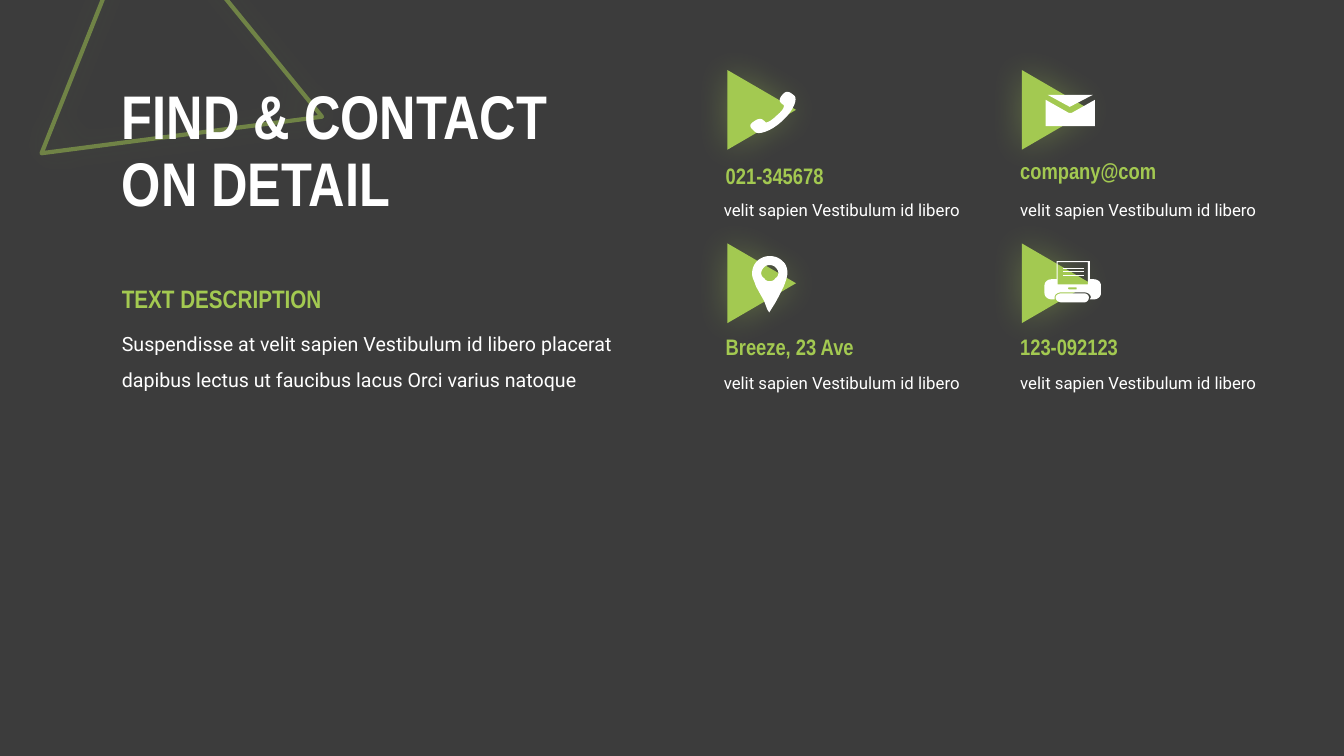
from lxml import etree
from pptx import Presentation
from pptx import util as u
from pptx.dml.color import RGBColor
from pptx.enum import shapes, text
from pptx.oxml import ns

Inches = u.Inches
DARK = RGBColor(0x3C, 0x3C, 0x3C)
GREEN = RGBColor(0xA3, 0xC9, 0x51)
WHITE = RGBColor(0xFF, 0xFF, 0xFF)
HEAD, BODY = "Arial Narrow", "Roboto"

TITLE = ["FIND & CONTACT", "ON DETAIL"]
SUBTITLE = "TEXT DESCRIPTION"
DESCRIPTION = ("Suspendisse at velit sapien Vestibulum id libero placerat "
               "dapibus lectus ut faucibus lacus Orci varius natoque")
CAPTION = "velit sapien Vestibulum id libero"

# Each contour mixes (x, y) corners and (x1, y1, x2, y2, x, y) curves.
PHONE = [[(7.77, 1.04), (7.74, 1.02, 7.71, 1, 7.76, 0.94), (7.81, 0.88, 7.85, 0.93, 7.88, 0.95),
          (7.91, 0.98, 7.88, 1.09, 7.76, 1.2), (7.64, 1.31, 7.52, 1.34, 7.49, 1.31),
          (7.46, 1.28, 7.41, 1.25, 7.47, 1.21), (7.54, 1.16, 7.56, 1.18, 7.59, 1.21),
          (7.6, 1.23, 7.66, 1.19, 7.7, 1.15), (7.75, 1.11, 7.79, 1.06, 7.77, 1.04)]]
ENVELOPE = [[(10.63, 1.12), (10.86, 0.99), (10.86, 1.25), (10.37, 1.25), (10.37, 0.99),
             (10.6, 1.12), (10.61, 1.12)],
            [(10.84, 0.94), (10.61, 1.06), (10.39, 0.94)]]
PIN = [[(7.51, 2.59), (7.54, 2.56, 7.59, 2.54, 7.63, 2.54), (7.69, 2.54, 7.73, 2.56, 7.76, 2.59),
        (7.8, 2.62, 7.81, 2.67, 7.81, 2.71), (7.81, 2.73, 7.8, 2.78, 7.77, 2.85),
        (7.74, 2.91, 7.71, 2.97, 7.68, 3.02), (7.63, 3.1), (7.61, 3.07), (7.58, 2.99),
        (7.56, 2.95, 7.54, 2.92, 7.52, 2.88), (7.5, 2.85, 7.49, 2.82, 7.48, 2.79),
        (7.46, 2.75, 7.46, 2.73, 7.46, 2.71), (7.46, 2.66, 7.48, 2.62, 7.51, 2.59)],
       [(7.58, 2.76), (7.59, 2.78, 7.61, 2.79, 7.63, 2.79), (7.66, 2.79, 7.68, 2.78, 7.69, 2.76),
        (7.71, 2.75, 7.72, 2.73, 7.72, 2.71), (7.72, 2.69, 7.71, 2.67, 7.69, 2.65),
        (7.68, 2.64, 7.66, 2.63, 7.63, 2.63), (7.61, 2.63, 7.59, 2.64, 7.58, 2.65),
        (7.56, 2.67, 7.55, 2.69, 7.55, 2.71), (7.55, 2.73, 7.56, 2.75, 7.58, 2.76)]]
TRAY = [[(10.75, 2.91), (10.53, 2.91), (10.5, 2.91, 10.47, 2.93, 10.47, 2.95),
         (10.47, 2.98, 10.5, 3, 10.53, 3), (10.75, 3), (10.78, 3, 10.8, 2.98, 10.8, 2.95),
         (10.8, 2.93, 10.78, 2.91, 10.75, 2.91)]]
PRINTER = [[(10.85, 2.77), (10.81, 2.77), (10.81, 2.59), (10.48, 2.59), (10.48, 2.77), (10.43, 2.77),
            (10.39, 2.77, 10.36, 2.8, 10.36, 2.83), (10.36, 2.91),
            (10.36, 2.94, 10.39, 2.97, 10.43, 2.97), (10.46, 2.97), (10.46, 2.95),
            (10.46, 2.92, 10.49, 2.9, 10.53, 2.9), (10.75, 2.9),
            (10.79, 2.9, 10.82, 2.92, 10.82, 2.95), (10.81, 2.97), (10.85, 2.97),
            (10.89, 2.97, 10.92, 2.94, 10.92, 2.91), (10.92, 2.83),
            (10.92, 2.8, 10.89, 2.77, 10.85, 2.77)],
           [(10.49, 2.6), (10.79, 2.6), (10.79, 2.82), (10.49, 2.82)],
           [(10.68, 2.87), (10.6, 2.87), (10.59, 2.86), (10.6, 2.85), (10.68, 2.85), (10.68, 2.86)]]
PAPER_LINES = [[[(10.54, y), (10.75, y), (10.75, y + 0.01), (10.54, y + 0.01)]]
               for y in (2.66, 2.69, 2.73)]

COLUMNS = [(7.16, 7.1, 7.08, 1.86), (10.08, 10.02, 10.02, 1.93)]
ROWS = [(0.75, 1.83), (2.47, 3.55)]
CONTACTS = [
    (0, 0, "021-345678", 1.56, [PHONE]),
    (1, 0, "company@com", 1.51, [ENVELOPE]),
    (0, 1, "Breeze, 23 Ave", 3.26, [PIN]),
    (1, 1, "123-092123", 3.26, [TRAY, PRINTER] + PAPER_LINES),
]

prs = Presentation()
prs.slide_width, prs.slide_height = Inches(13.33), Inches(7.5)
s = prs.slides.add_slide(prs.slide_layouts[6])
s.background.fill.solid()
s.background.fill.fore_color.rgb = DARK


def set_alpha(color, percent):
    etree.SubElement(color, ns.qn("a:alpha"), val=str(percent * 1000))


def add_glow(sp):
    sp.shadow.inherit = False
    effects = sp._element.spPr.find(ns.qn("a:effectLst"))
    glow = etree.SubElement(effects, ns.qn("a:outerShdw"), blurRad=str(u.Pt(25)),
                            dist="0", dir="0", algn="ctr", rotWithShape="0")
    set_alpha(etree.SubElement(glow, ns.qn("a:srgbClr"), val=str(GREEN)), 35)


def add_triangle(x, y, w, h, angle, outlined=False):
    sp = s.shapes.add_shape(shapes.MSO_SHAPE.ISOSCELES_TRIANGLE, *map(Inches, (x, y, w, h)))
    sp.rotation = angle
    if outlined:
        sp.fill.background()
        sp.line.color.rgb = GREEN
        sp.line.width = u.Pt(3)
        set_alpha(next(sp._element.spPr.iter(ns.qn("a:srgbClr"))), 50)
    else:
        sp.fill.solid()
        sp.fill.fore_color.rgb = GREEN
        sp.line.fill.background()
    add_glow(sp)


def add_text(box, lines, size, font, color, bold=False, spacing=1.0, grow=True):
    tf = s.shapes.add_textbox(*map(Inches, box)).text_frame
    tf.word_wrap = True
    if grow:
        tf.auto_size = text.MSO_AUTO_SIZE.SHAPE_TO_FIT_TEXT
    else:
        tf.vertical_anchor = text.MSO_ANCHOR.MIDDLE
    p = tf.paragraphs[0]
    p.line_spacing = spacing
    for i, line in enumerate(lines):
        if i:
            p.add_line_break()
        r = p.add_run()
        r.text = line
        r.font.size, r.font.name, r.font.bold = u.Pt(size), font, bold
        r.font.color.rgb = color


def flatten(contour, steps=8):
    points = [contour[0]]
    for segment in contour[1:]:
        if len(segment) == 2:
            points.append(segment)
            continue
        nodes = [points[-1], segment[:2], segment[2:4], segment[4:]]
        for i in range(1, steps + 1):
            t = i / steps
            weights = ((1 - t) ** 3, 3 * t * (1 - t) ** 2, 3 * t * t * (1 - t), t ** 3)
            points.append(tuple(sum(k * n[axis] for k, n in zip(weights, nodes))
                                for axis in (0, 1)))
    return [(Inches(x), Inches(y)) for x, y in points]


def add_icon(target, contours):
    outlines = [flatten(c) for c in contours]
    builder = target.build_freeform(*outlines[0][0], scale=1.0)
    for i, points in enumerate(outlines):
        if i:
            builder.move_to(*points[0])
        builder.add_line_segments(points[1:], close=True)
    sp = builder.convert_to_shape()
    sp.fill.solid()
    sp.fill.fore_color.rgb = WHITE
    sp.line.fill.background()
    sp.shadow.inherit = False


add_triangle(0.69, -0.52, 2.73, 2.45, 111.7, outlined=True)
add_text((1.11, 0.73, 5.62, 1.58), TITLE, 44, HEAD, WHITE, True, 0.9, grow=False)
add_text((1.11, 3.13, 5.13, 0.77), [DESCRIPTION], 14, BODY, WHITE, spacing=1.5)
add_text((1.11, 2.76, 2.45, 0.4), [SUBTITLE], 18, HEAD, GREEN, True)

for column, row, label, label_y, icon in CONTACTS:
    triangle_x, label_x, caption_x, label_w = COLUMNS[column]
    triangle_y, caption_y = ROWS[row]
    add_triangle(triangle_x, triangle_y, 0.79, 0.68, 90)
    add_text((label_x, label_y, label_w, 0.37), [label], 16, HEAD, GREEN, True)
    add_text((caption_x, caption_y, 2.65, 0.37), [CAPTION], 12, BODY, WHITE, spacing=1.5)
    target = s.shapes.add_group_shape().shapes if len(icon) > 1 else s.shapes
    for part in icon:
        add_icon(target, part)

prs.save("out.pptx")
